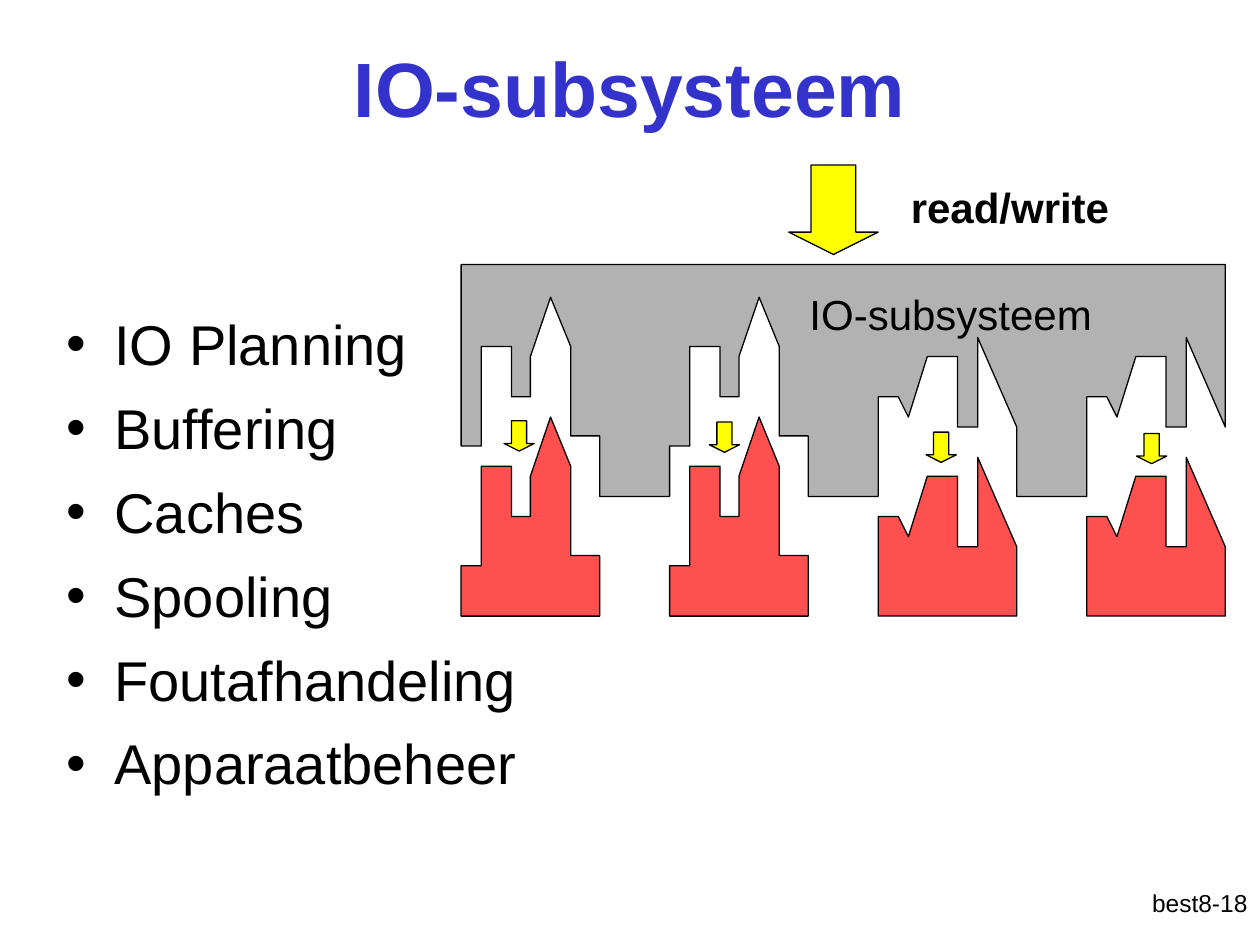
import pptx
import pptx.util
import pptx.dml.color
import pptx.enum.shapes
import pptx.enum.text
import pptx.oxml.ns
from lxml import etree
from pptx.util import Inches, Pt

# Content
TITLE = "IO-subsysteem"
TOPICS = ["IO Planning", "Buffering", "Caches", "Spooling",
          "Foutafhandeling", "Apparaatbeheer"]

# Upper outlines of the two device types: x from the device's left edge, y on the slide
TOWER = [(0, 4.49), (0.16, 4.49), (0.16, 3.7), (0.4, 3.7), (0.4, 4.1), (0.55, 4.1),
         (0.55, 3.78), (0.71, 3.31), (0.87, 3.7), (0.87, 4.41), (1.1, 4.41)]
RAMP = [(0, 4.1), (0.16, 4.1), (0.24, 4.26), (0.39, 3.78), (0.63, 3.78),
        (0.63, 4.34), (0.79, 4.34), (0.79, 3.63), (1.1, 4.34)]
DEVICES = [TOWER, TOWER, RAMP, RAMP]
DEVICE_LEFT, DEVICE_PITCH, DEVICE_WIDTH, DEVICE_BOTTOM = 3.66, 1.655, 1.1, 4.89
SYSTEM_TOP, SYSTEM_BOTTOM = 2.1, 3.94
NOTCH_RISE = 0.95  # each notch is a device outline moved up

# Left, top, size
ARROWS = [(6.26, 1.31, 0.71), (4, 3.34, 0.24), (5.63, 3.35, 0.24),
          (7.35, 3.43, 0.24), (9.02, 3.44, 0.24)]

BLACK, BLUE, GREY, RED, YELLOW = "000000", "3333CC", "B2B2B2", "FF5050", "FFFF00"
ALIGN = pptx.enum.text.PP_ALIGN


def color(hex_text):
    return pptx.dml.color.RGBColor.from_string(hex_text)


def style_text(frame, size, hex_text=BLACK, bold=False, align=ALIGN.LEFT):
    frame.word_wrap = True
    for para in frame.paragraphs:
        para.alignment = align
        for span in para.runs:
            span.font.name = "Arial"
            span.font.size = Pt(size)
            span.font.bold = bold
            span.font.color.rgb = color(hex_text)


def add_text(page, place, text, size, **style):
    box = page.shapes.add_textbox(*map(Inches, place))
    box.text_frame.text = text
    style_text(box.text_frame, size, **style)
    return box


def style_shape(shape, fill):
    shape.shadow.inherit = False
    shape.fill.solid()
    shape.fill.fore_color.rgb = color(fill)
    shape.line.color.rgb = color(BLACK)
    shape.line.width = Pt(0.75)


def add_outline(page, points, fill):
    corners = [(Inches(x), Inches(y)) for x, y in points]
    builder = page.shapes.build_freeform(*corners[0], scale=1.0)
    builder.add_line_segments(corners[1:], close=True)
    style_shape(builder.convert_to_shape(), fill)


def add_bullet(para):
    properties = para._p.get_or_add_pPr()
    properties.set("marL", str(Inches(0.38)))
    properties.set("indent", str(Inches(-0.38)))
    for tag, key, value in [("a:buFont", "typeface", "Arial"), ("a:buChar", "char", "•")]:
        etree.SubElement(properties, pptx.oxml.ns.qn(tag)).set(key, value)


def main():
    deck = pptx.Presentation()
    deck.slide_width, deck.slide_height = Inches(10), Inches(7.5)
    page = deck.slides.add_slide(deck.slide_layouts[5])

    # Title and page number
    title = page.shapes.title
    title.left, title.top, title.width, title.height = map(Inches, (0.75, 0.06, 8.5, 1.25))
    title.text_frame.text = TITLE
    title.text_frame.vertical_anchor = pptx.enum.text.MSO_ANCHOR.MIDDLE
    style_text(title.text_frame, 44, BLUE, bold=True, align=ALIGN.CENTER)
    add_text(page, (7.92, 7, 2.08, 0.5), "best8-18", 14, align=ALIGN.RIGHT)

    # Topic list
    topics = add_text(page, (0.43, 2.41, 4.72, 4.5), "\n".join(TOPICS), 32)
    for index, para in enumerate(topics.text_frame.paragraphs):
        if index:
            para.space_before = Pt(9.5)
        add_bullet(para)

    # Subsystem block, notched to fit the devices
    lefts = [DEVICE_LEFT + DEVICE_PITCH * i for i in range(len(DEVICES))]
    right = lefts[-1] + DEVICE_WIDTH
    edge = []
    for left, profile in zip(lefts, DEVICES):
        if edge:
            edge += [(edge[-1][0], SYSTEM_BOTTOM), (left, SYSTEM_BOTTOM)]
        edge += [(left + x, y - NOTCH_RISE) for x, y in profile]
    add_outline(page, [(DEVICE_LEFT, SYSTEM_TOP)] + edge + [(right, SYSTEM_TOP)], GREY)

    # Devices
    for left, profile in zip(lefts, DEVICES):
        base = [(DEVICE_WIDTH, DEVICE_BOTTOM), (0, DEVICE_BOTTOM)]
        add_outline(page, [(left + x, y) for x, y in profile + base], RED)

    # Arrows and labels
    for left, top, size in ARROWS:
        arrow = page.shapes.add_shape(pptx.enum.shapes.MSO_SHAPE.DOWN_ARROW,
                                      *map(Inches, (left, top, size, size)))
        arrow.adjustments[0], arrow.adjustments[1] = 0.5, 0.25
        style_shape(arrow, YELLOW)
    add_text(page, (5.72, 2.24, 3.65, 0.5), "IO-subsysteem", 24, align=ALIGN.CENTER)
    add_text(page, (7.13, 1.39, 2.05, 0.5), "read/write", 24, bold=True)

    deck.save("out.pptx")


if __name__ == "__main__":
    main()
